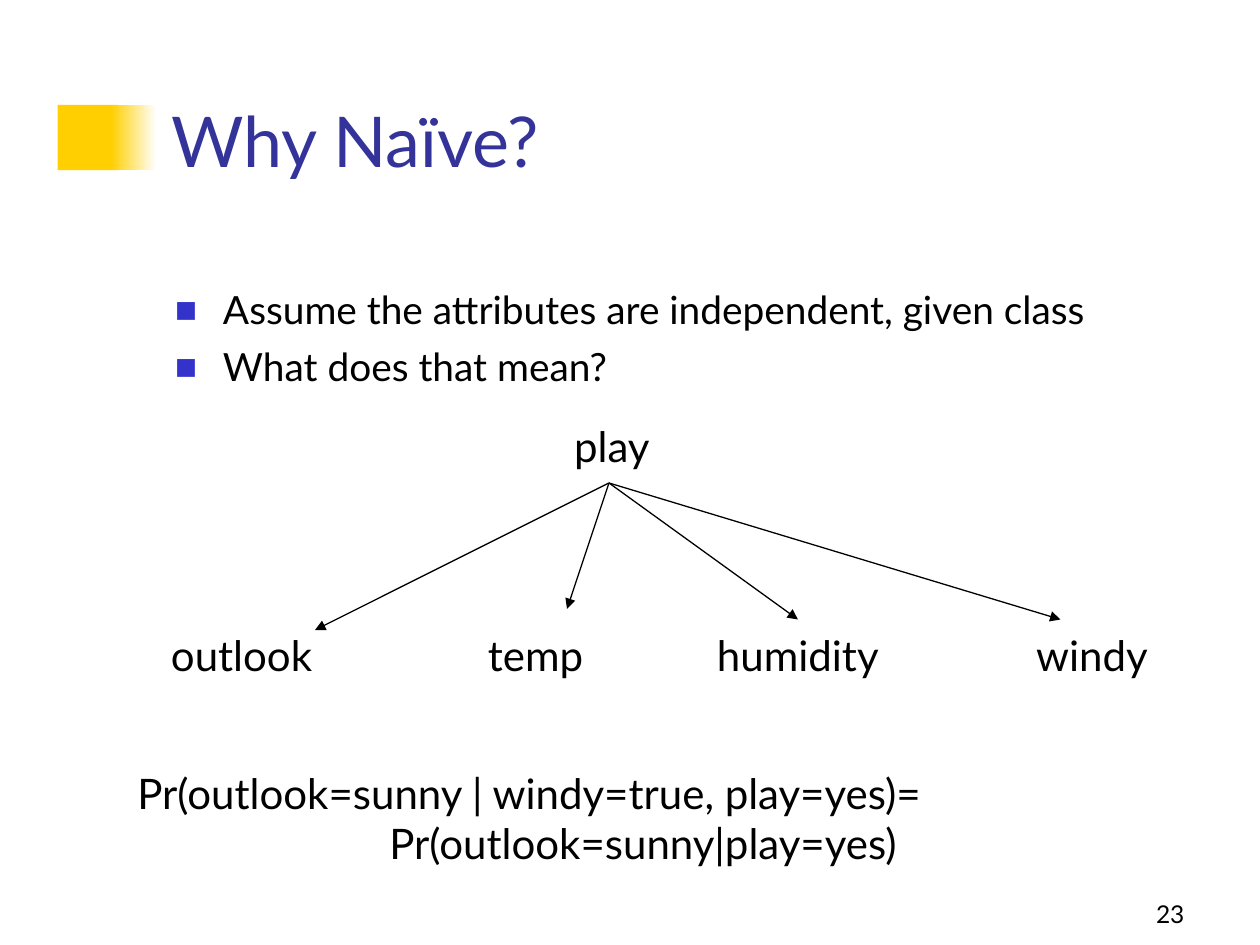
from lxml.etree import SubElement
from pptx import Presentation
from pptx.dml.color import RGBColor
from pptx.enum.shapes import MSO_CONNECTOR, MSO_SHAPE
from pptx.enum.text import MSO_ANCHOR, MSO_AUTO_SIZE, PP_ALIGN
from pptx.oxml.ns import qn
from pptx.util import Inches, Pt

INK = {"title": "333399", "text": "000000", "bullet": "3333CC",
       "gold": "FFCF01", "white": "FFFFFF"}
FONT = "Lato"
UNIT = 1 / 12  # grid step in inches: 120 columns by 90 rows


def rgb(name):
    return RGBColor.from_string(INK[name])


def grid(*steps):
    return [Inches(step * UNIT) for step in steps]


class Deck:
    def __init__(self):
        self.prs = Presentation()
        self.prs.slide_width, self.prs.slide_height = grid(120, 90)
        self.slide = self.prs.slides.add_slide(self.prs.slide_layouts[5])
        self.shapes = self.slide.shapes

    def block(self, box, fade=False):
        shape = self.shapes.add_shape(MSO_SHAPE.RECTANGLE, *grid(*box))
        shape.shadow.inherit = False
        shape.line.fill.background()
        if fade:
            shape.fill.gradient()
            shape.fill.gradient_angle = 180
            for stop, name in zip(shape.fill.gradient_stops, ("white", "gold")):
                stop.color.rgb = rgb(name)
        else:
            shape.fill.solid()
            shape.fill.fore_color.rgb = rgb("gold")

    def put(self, frame, lines, size, ink="text", align=PP_ALIGN.LEFT,
            anchor=MSO_ANCHOR.TOP):
        frame.word_wrap = True
        frame.auto_size = MSO_AUTO_SIZE.NONE
        frame.vertical_anchor = anchor
        for i, line in enumerate(lines):
            par = frame.add_paragraph() if i else frame.paragraphs[0]
            par.alignment = align
            run = par.add_run()
            run.text = line
            run.font.name, run.font.size = FONT, Pt(size)
            run.font.color.rgb = rgb(ink)
        return frame.paragraphs

    def title(self, box, line):
        head = self.shapes.title
        head.left, head.top, head.width, head.height = grid(*box)
        self.put(head.text_frame, [line], 40, "title", anchor=MSO_ANCHOR.BOTTOM)

    def text(self, box, lines, size=24, **style):
        frame = self.shapes.add_textbox(*grid(*box)).text_frame
        return self.put(frame, lines, size, **style)

    def bullets(self, box, lines, size):
        for i, par in enumerate(self.text(box, lines, size)):
            if i:
                par.space_before = Pt(6)
            props = par._p.get_or_add_pPr()
            props.set("marL", str(Inches(0.38)))
            props.set("indent", str(Inches(-0.38)))
            color = SubElement(props, qn("a:buClr"))
            SubElement(color, qn("a:srgbClr"), val=INK["bullet"])
            SubElement(props, qn("a:buSzPct"), val="60000")
            SubElement(props, qn("a:buFont"), typeface=FONT)
            SubElement(props, qn("a:buChar"), char="■")

    def arrow(self, start, end):
        line = self.shapes.add_connector(MSO_CONNECTOR.STRAIGHT, *grid(*start, *end))
        line.line.width = Pt(0.75)
        line.line.color.rgb = rgb("text")
        props = line._element.spPr
        SubElement(props.find(qn("a:ln")), qn("a:tailEnd"), type="triangle")
        SubElement(props, qn("a:effectLst"))


def main():
    deck = Deck()

    # Title with its gold mark
    deck.block((5.5, 10, 5.8, 6.2))
    deck.block((10.6, 10, 4.3, 6.2), fade=True)
    deck.title((15.1, 8, 102.3, 9.9), "Why Naïve?")

    # Bullets
    deck.bullets((15.5, 26.6, 102, 12.5),
                 ["Assume the attributes are independent, given class",
                  "What does that mean?"], 22.2)

    # Tree: the class above its attributes
    deck.text((53.5, 39.5, 10.2, 6), ["play"])
    leaves = [("outlook", 15.1, 16.7, (30, 60)),
              ("temp", 45.3, 12.2, (54, 58)),
              ("humidity", 67.1, 19.1, (76, 59)),
              ("windy", 97.5, 13.6, (101, 59))]
    for name, left, width, tip in leaves:
        deck.text((left, 59.4, width, 6), [name])
        deck.arrow((58, 46), tip)

    # Formula, second line set in
    lines = deck.text((11.9, 72.5, 83, 10.8),
                      ["Pr(outlook=sunny | windy=true, play=yes)=",
                       "Pr(outlook=sunny|play=yes)"])
    lines[1]._p.get_or_add_pPr().set("marL", str(Inches(2)))

    # Page number
    deck.text((89, 83, 25, 6), ["23"], 14, align=PP_ALIGN.RIGHT,
              anchor=MSO_ANCHOR.BOTTOM)

    deck.prs.save("out.pptx")


if __name__ == "__main__":
    main()
